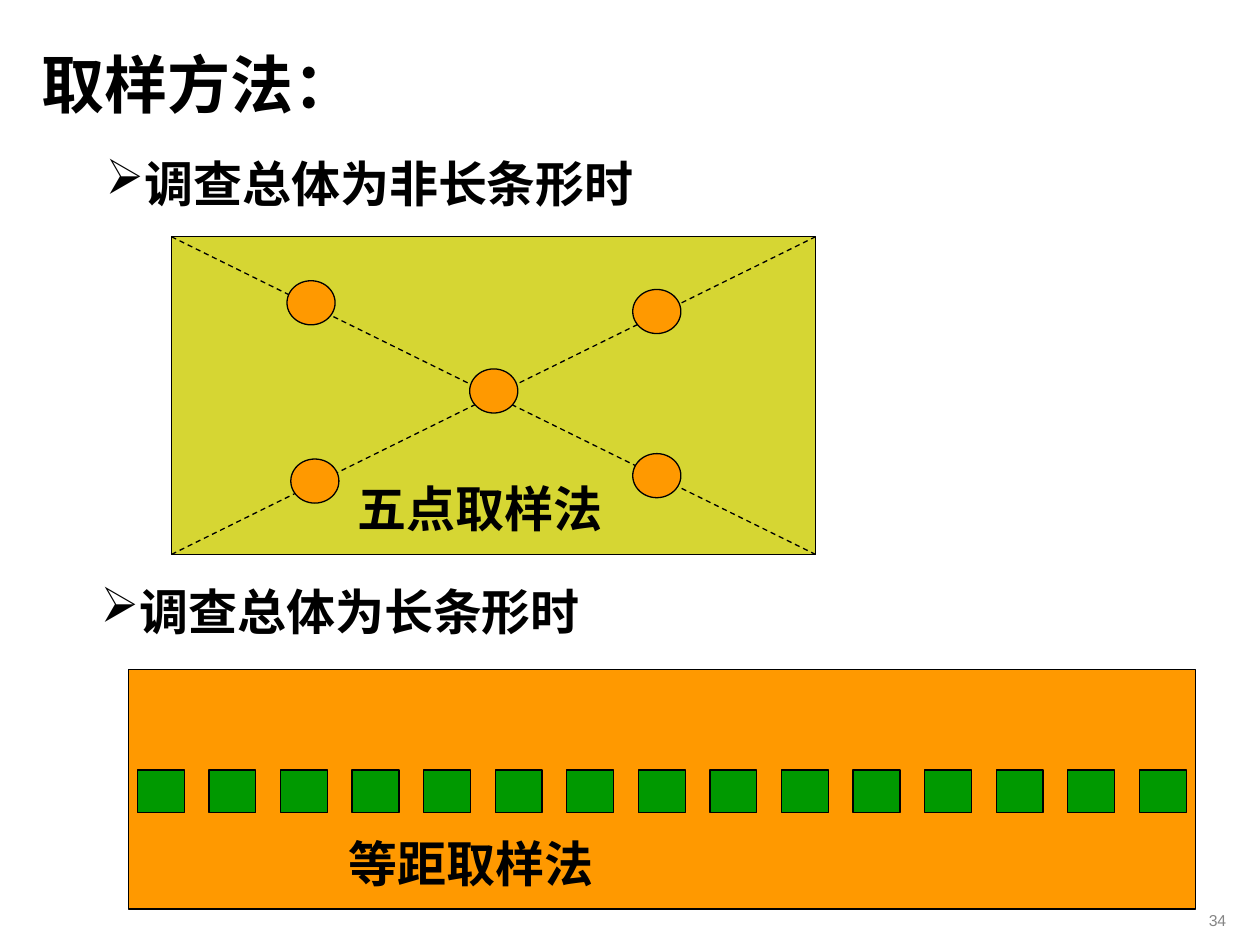
from dataclasses import dataclass
from typing import Optional

from lxml.etree import SubElement
from pptx import Presentation
from pptx.dml.color import RGBColor
from pptx.enum.dml import MSO_LINE
from pptx.enum.lang import MSO_LANGUAGE_ID as Language
from pptx.enum.shapes import MSO_CONNECTOR as Connector
from pptx.enum.shapes import MSO_SHAPE as Shape
from pptx.enum.text import MSO_ANCHOR as Anchor
from pptx.enum.text import PP_ALIGN as Align
from pptx.oxml.ns import qn
from pptx.util import Pt


@dataclass(frozen=True)
class Theme:
    ink: str = "000000"
    muted: str = "858585"
    field: str = "CCCC00"
    orange: str = "FF9900"
    green: str = "009900"
    cjk: str = "Noto Sans CJK SC"
    latin: str = "Arial"
    title_size: float = 36
    body_size: float = 28
    number_size: float = 9
    outline: float = 0.75
    field_opacity: int = 80


@dataclass(frozen=True)
class Box:
    left: float
    top: float
    width: float
    height: float

    def lengths(self) -> tuple:
        return Pt(self.left), Pt(self.top), Pt(self.width), Pt(self.height)


@dataclass(frozen=True)
class Label:
    text: str
    box: Box
    size: float
    font: str
    color: str
    bold: bool = True
    wrap: bool = True
    bullet: Optional[str] = None
    align: Align = Align.LEFT
    anchor: Anchor = Anchor.TOP


THEME = Theme()

FIELD = Box(98, 135.3, 368, 181.5)
DOT_WIDTH, DOT_HEIGHT = 27.5, 25.2
DOT_CORNERS = [(268.4, 210.8), (164, 160.4), (166.2, 262.3), (361.6, 259.2), (361.6, 165.4)]

STRIP = Box(73.3, 382.5, 610, 137)
FIRST_PLOT = Box(78.5, 440, 26.8, 24.5)
PLOT_COUNT = 15
PLOT_STEP = 40.9


def heading(text: str, box: Box, **options) -> Label:
    """Bold black CJK label, body size unless told otherwise."""
    size = options.pop("size", THEME.body_size)
    return Label(text, box, size, THEME.cjk, THEME.ink, **options)


FIVE_POINT = heading("五点取样法", Box(197.3, 270, 156.2, 41), wrap=False)
EQUAL_DISTANCE = heading("等距取样法", Box(192, 472.5, 156.2, 41), wrap=False)
SLIDE_LABELS = [
    heading("调查总体为长条形时", Box(50.4, 327, 357, 44.6), bullet="➢", anchor=Anchor.MIDDLE),
    heading("调查总体为非长条形时", Box(53.3, 84.3, 487.4, 41), bullet="➢"),
    heading("取样方法：", Box(16.8, 22.3, 196.6, 51), size=THEME.title_size, wrap=False),
    Label("34", Box(563.8, 513.4, 144, 24.5), THEME.number_size, THEME.latin,
          THEME.muted, bold=False, align=Align.RIGHT, anchor=Anchor.MIDDLE),
]


def add_outlined(shapes, kind: Shape, box: Box, color: str, opacity: int = 100) -> None:
    shape = shapes.add_shape(kind, *box.lengths())
    shape.shadow.inherit = False
    shape.fill.solid()
    shape.fill.fore_color.rgb = RGBColor.from_string(color)
    shape.line.color.rgb = RGBColor.from_string(THEME.ink)
    shape.line.width = Pt(THEME.outline)
    if opacity < 100:
        fill_color = shape.element.spPr.find(qn("a:solidFill"))[0]
        SubElement(fill_color, qn("a:alpha"), val=str(opacity * 1000))


def add_diagonal(shapes, start_y: float, end_y: float) -> None:
    """Dashed line across the whole width of the field."""
    line = shapes.add_connector(Connector.STRAIGHT, Pt(FIELD.left), Pt(start_y),
                                Pt(FIELD.left + FIELD.width), Pt(end_y))
    line.line.color.rgb = RGBColor.from_string(THEME.ink)
    line.line.width = Pt(THEME.outline)
    line.line.dash_style = MSO_LINE.DASH
    SubElement(line.element.spPr, qn("a:effectLst"))


def add_label(shapes, label: Label) -> None:
    frame = shapes.add_textbox(*label.box.lengths()).text_frame
    frame.word_wrap = label.wrap
    frame.vertical_anchor = label.anchor
    paragraph = frame.paragraphs[0]
    paragraph.alignment = label.align
    if label.bullet:
        properties = paragraph._p.get_or_add_pPr()
        properties.set("marL", "0")
        properties.set("indent", "0")
        SubElement(properties, qn("a:buChar"), char=label.bullet)
    run = paragraph.add_run()
    run.text = label.text
    font = run.font
    font.size = Pt(label.size)
    font.bold = label.bold
    font.color.rgb = RGBColor.from_string(label.color)
    font.name = label.font
    if label.font == THEME.cjk:
        font.language_id = Language.SIMPLIFIED_CHINESE
        SubElement(run._r.get_or_add_rPr(), qn("a:ea"), typeface=label.font)


def draw_five_point(shapes) -> None:
    bottom = FIELD.top + FIELD.height
    add_outlined(shapes, Shape.RECTANGLE, FIELD, THEME.field, THEME.field_opacity)
    add_diagonal(shapes, FIELD.top, bottom)
    add_diagonal(shapes, bottom, FIELD.top)
    for left, top in DOT_CORNERS:
        add_outlined(shapes, Shape.OVAL, Box(left, top, DOT_WIDTH, DOT_HEIGHT), THEME.orange)
    add_label(shapes, FIVE_POINT)


def draw_equal_distance(shapes) -> None:
    add_outlined(shapes, Shape.RECTANGLE, STRIP, THEME.orange)
    for index in range(PLOT_COUNT):
        plot = Box(FIRST_PLOT.left + index * PLOT_STEP, FIRST_PLOT.top,
                   FIRST_PLOT.width, FIRST_PLOT.height)
        add_outlined(shapes, Shape.RECTANGLE, plot, THEME.green)
    add_label(shapes, EQUAL_DISTANCE)


def main() -> None:
    deck = Presentation()
    deck.slide_width, deck.slide_height = Pt(720), Pt(540)
    shapes = deck.slides.add_slide(deck.slide_layouts[6]).shapes
    draw_five_point(shapes.add_group_shape().shapes)
    draw_equal_distance(shapes.add_group_shape().shapes)
    for label in SLIDE_LABELS:
        add_label(shapes, label)
    deck.save("out.pptx")


if __name__ == "__main__":
    main()
